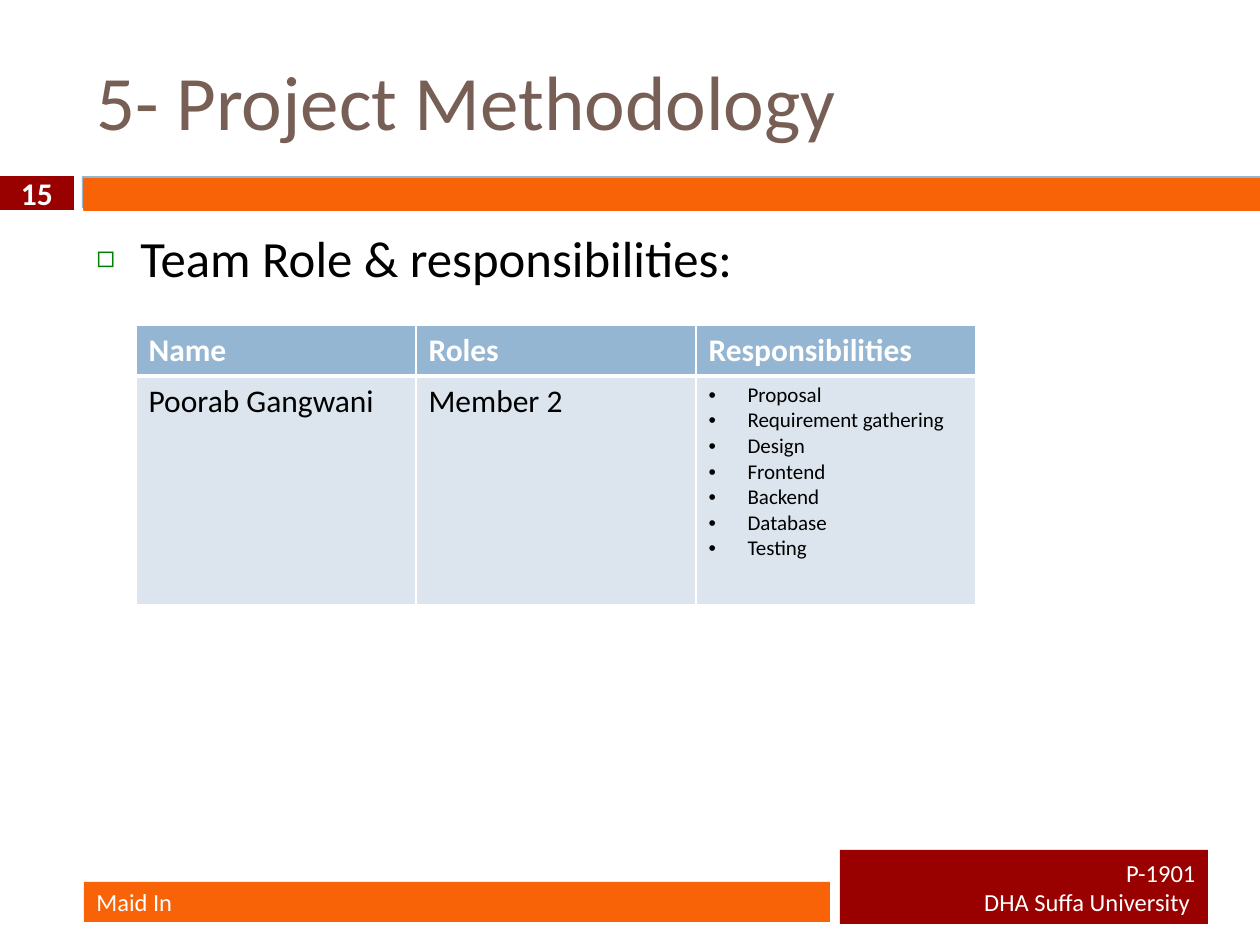
from dataclasses import dataclass
from typing import Optional

from lxml import etree
from pptx import Presentation
from pptx import util as u
from pptx.dml.color import RGBColor
from pptx.enum import shapes, text
from pptx.oxml.ns import qn

PX_PER_INCH = 126


@dataclass(frozen=True)
class Theme:
    font: str = "Calibri"
    orange: str = "F86308"
    red: str = "990000"
    blue: str = "94B6D2"
    pale_blue: str = "DCE5EE"
    brown: str = "775F55"
    green: str = "008000"
    white: str = "FFFFFF"
    black: str = "000000"
    title_size: int = 44
    body_size: int = 29
    table_size: int = 18
    footer_size: int = 14
    list_size: int = 12


THEME = Theme()


@dataclass(frozen=True)
class Box:
    left: int
    top: int
    width: int
    height: int

    def emu(self) -> tuple:
        return tuple(px(v) for v in (self.left, self.top, self.width, self.height))


@dataclass(frozen=True)
class Style:
    size: int
    color: str
    bold: bool = False
    align: text.PP_ALIGN = text.PP_ALIGN.LEFT


@dataclass(frozen=True)
class Bullet:
    char: str
    indent: int
    color: Optional[str] = None
    percent: int = 100


@dataclass(frozen=True)
class Bar:
    box: Box
    fill: str
    lines: tuple = ()
    style: Optional[Style] = None
    line: Optional[str] = None


def px(value: int) -> int:
    return u.Emu(round(value * 914400 / PX_PER_INCH))


def rgb(color: str) -> RGBColor:
    return RGBColor.from_string(color)


def add_bullet(paragraph, bullet: Bullet) -> None:
    props = paragraph._p.get_or_add_pPr()
    props.set("marL", str(px(bullet.indent)))
    props.set("indent", str(-px(bullet.indent)))
    if bullet.color:
        tint = etree.SubElement(props, qn("a:buClr"))
        etree.SubElement(tint, qn("a:srgbClr"), val=bullet.color)
    etree.SubElement(props, qn("a:buSzPct"), val=str(bullet.percent * 1000))
    etree.SubElement(props, qn("a:buFont"), typeface="Arial")
    etree.SubElement(props, qn("a:buChar"), char=bullet.char)


def write(frame, lines: tuple, style: Style, bullet: Optional[Bullet] = None) -> None:
    for i, line in enumerate(lines):
        paragraph = frame.paragraphs[0] if i == 0 else frame.add_paragraph()
        paragraph.alignment = style.align
        if bullet:
            add_bullet(paragraph, bullet)
        run = paragraph.add_run()
        run.text = line
        run.font.name = THEME.font
        run.font.size = u.Pt(style.size)
        run.font.bold = style.bold
        run.font.color.rgb = rgb(style.color)


def add_bar(slide, bar: Bar) -> None:
    shape = slide.shapes.add_shape(shapes.MSO_SHAPE.RECTANGLE, *bar.box.emu())
    shape.shadow.inherit = False
    shape.fill.solid()
    shape.fill.fore_color.rgb = rgb(bar.fill)
    if bar.line:
        shape.line.color.rgb = rgb(bar.line)
        shape.line.width = u.Pt(1.5)
    else:
        shape.line.fill.background()
    if bar.style:
        shape.text_frame.vertical_anchor = text.MSO_ANCHOR.MIDDLE
        write(shape.text_frame, bar.lines, bar.style)


def set_borders(cell, **widths: int) -> None:
    props = cell._tc.get_or_add_tcPr()
    for i, side in enumerate("LRTB"):
        line = etree.Element(qn(f"a:ln{side}"), w=str(u.Pt(widths.get(side, 1))))
        fill = etree.SubElement(line, qn("a:solidFill"))
        etree.SubElement(fill, qn("a:srgbClr"), val=THEME.white)
        props.insert(i, line)


def add_team_table(slide, box: Box, row_heights: tuple, headings: tuple,
                   member: tuple) -> None:
    table = slide.shapes.add_table(2, len(headings), *box.emu()).table
    for row, height in zip(table.rows, row_heights):
        row.height = px(height)
    for column in table.columns:
        column.width = px(box.width // len(headings))

    heading_style = Style(THEME.table_size, THEME.white, bold=True)
    member_style = Style(THEME.table_size, THEME.black)
    duty_style = Style(THEME.list_size, THEME.black)
    for i, (heading, entry) in enumerate(zip(headings, member)):
        top, bottom = table.cell(0, i), table.cell(1, i)
        write(top.text_frame, (heading,), heading_style)
        if isinstance(entry, tuple):
            write(bottom.text_frame, entry, duty_style, Bullet("•", 39))
        else:
            write(bottom.text_frame, (entry,), member_style)
        for cell, color in ((top, THEME.blue), (bottom, THEME.pale_blue)):
            cell.fill.solid()
            cell.fill.fore_color.rgb = rgb(color)
        set_borders(top, B=3)
        set_borders(bottom, T=3)


def main() -> None:
    deck = Presentation()
    deck.slide_width, deck.slide_height = px(1260), px(945)
    slide = deck.slides.add_slide(deck.slide_layouts[5])

    # Title
    title = slide.shapes.title
    title.left, title.top, title.width, title.height = Box(84, 32, 1050, 136).emu()
    title.text_frame.auto_size = text.MSO_AUTO_SIZE.NONE
    title.text_frame.vertical_anchor = text.MSO_ANCHOR.MIDDLE
    write(title.text_frame, ("5- Project Methodology",),
          Style(THEME.title_size, THEME.brown))

    # Title band, footer and slide number
    footer = Style(THEME.footer_size, THEME.white)
    right_footer = Style(THEME.footer_size, THEME.white, align=text.PP_ALIGN.RIGHT)
    number = Style(18, THEME.white, True, text.PP_ALIGN.CENTER)
    for bar in (
        Bar(Box(82, 176, 1178, 32), THEME.blue),
        Bar(Box(84, 179, 1176, 31), THEME.orange, line=THEME.orange),
        Bar(Box(84, 882, 746, 40), THEME.orange, ("Maid In",), footer),
        Bar(Box(840, 850, 368, 74), THEME.red,
            ("P-1901", "DHA Suffa University "), right_footer),
        Bar(Box(0, 176, 74, 34), THEME.red, ("15",), number),
    ):
        add_bar(slide, bar)

    # Subheading
    subheading = slide.shapes.add_textbox(*Box(84, 221, 1124, 80).emu()).text_frame
    subheading.word_wrap = True
    write(subheading, ("Team Role & responsibilities:",),
          Style(THEME.body_size, THEME.black), Bullet("◻", 44, THEME.green, 60))

    # Team table
    duties = ("Proposal", "Requirement gathering", "Design", "Frontend",
              "Backend", "Database", "Testing")
    add_team_table(slide, Box(136, 325, 840, 280), (51, 229),
                   ("Name", "Roles", "Responsibilities"),
                   ("Poorab Gangwani", "Member 2", duties))

    deck.save("out.pptx")


if __name__ == "__main__":
    main()
